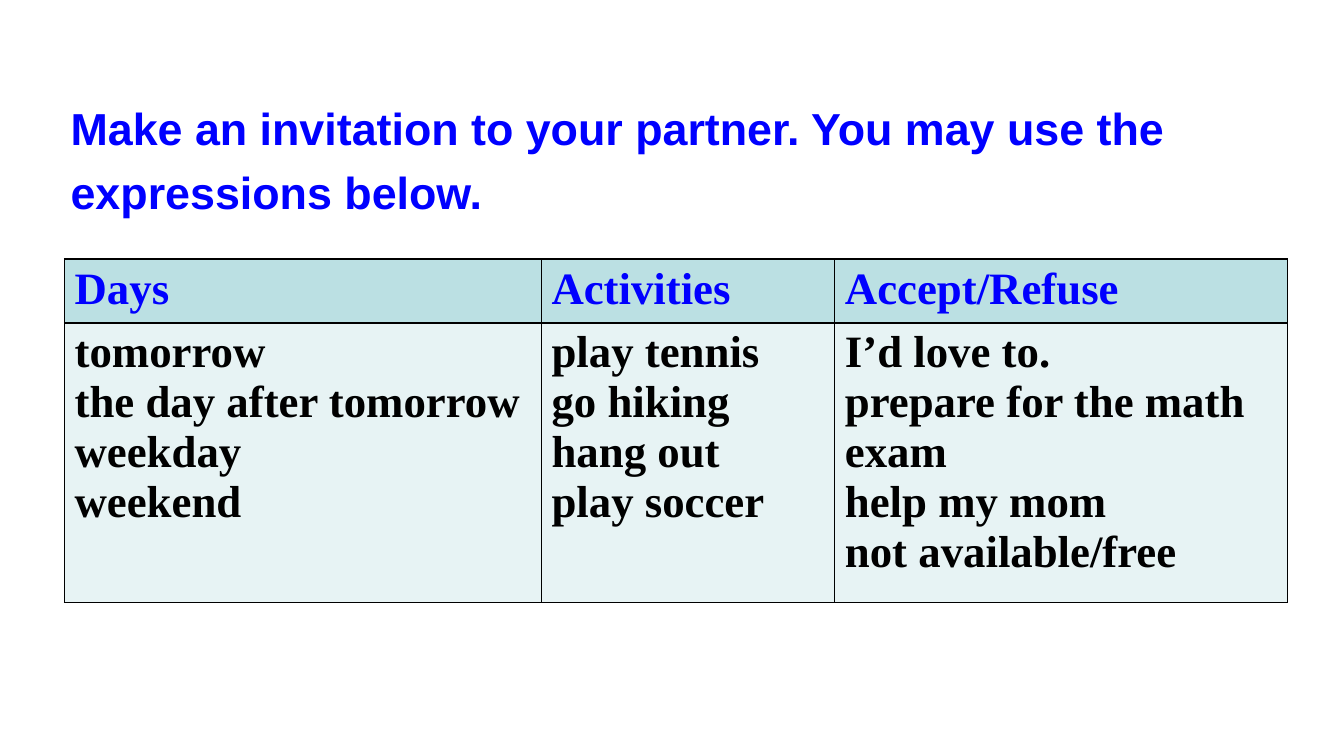
"""Build a slide with invitation prompts and a table of useful expressions."""
from dataclasses import dataclass

from lxml import etree
from pptx import Presentation
from pptx.dml.color import RGBColor
from pptx.enum.text import MSO_ANCHOR, MSO_AUTO_SIZE, PP_ALIGN
from pptx.oxml.ns import qn
from pptx.util import Inches, Pt

LEFT = PP_ALIGN.LEFT
TOP = MSO_ANCHOR.TOP
GROW = MSO_AUTO_SIZE.SHAPE_TO_FIT_TEXT
TITLE_ONLY = 5


@dataclass(frozen=True)
class Theme:
    blue: str = "0000FF"
    black: str = "000000"
    header_fill: str = "BBE0E3"
    body_fill: str = "E7F3F4"
    title_font: str = "Arial"
    table_font: str = "Times New Roman"
    size: int = 32
    border: int = 1


theme = Theme()


def style_text(frame, font_name, color):
    for para in frame.paragraphs:
        para.alignment = LEFT
        for span in para.runs:
            span.font.name = font_name
            span.font.size = Pt(theme.size)
            span.font.bold = True
            span.font.color.rgb = RGBColor.from_string(color)


def add_borders(cell):
    properties = cell._tc.get_or_add_tcPr()
    for position, side in enumerate(("a:lnL", "a:lnR", "a:lnT", "a:lnB")):
        line = etree.Element(qn(side), w=str(Pt(theme.border)))
        fill = etree.SubElement(line, qn("a:solidFill"))
        etree.SubElement(fill, qn("a:srgbClr"), val=theme.black)
        properties.insert(position, line)


deck = Presentation()
deck.slide_width = Inches(13.33)
deck.slide_height = Inches(7.5)
page = deck.slides.add_slide(deck.slide_layouts[TITLE_ONLY])

title = page.shapes.title
title.left, title.top = Inches(0.6), Inches(0.84)
title.width, title.height = Inches(12.36), Inches(1.33)
frame = title.text_frame
frame.text = "Make an invitation to your partner. You may use the expressions below."
frame.word_wrap = True
frame.auto_size = GROW
frame.vertical_anchor = TOP
frame.paragraphs[0].line_spacing = 1.2
style_text(frame, theme.title_font, theme.blue)

columns = [
    ("Days", 4.73, ["tomorrow", "the day after tomorrow", "weekday", "weekend"]),
    ("Activities", 2.91, ["play tennis", "go hiking", "hang out", "play soccer"]),
    ("Accept/Refuse", 4.49, ["I’d love to.", "prepare for the math exam",
                             "help my mom", "not available/free"]),
]
table = page.shapes.add_table(
    2, len(columns), Inches(0.64), Inches(2.57), Inches(12.13), Inches(3.4)
).table
table.rows[0].height = Inches(0.63)
table.rows[1].height = Inches(2.77)

for index, (heading, width, expressions) in enumerate(columns):
    table.columns[index].width = Inches(width)
    contents = [
        (heading, theme.header_fill, theme.blue),
        ("\n".join(expressions), theme.body_fill, theme.black),
    ]
    for row, (text, fill, color) in enumerate(contents):
        cell = table.cell(row, index)
        cell.text_frame.text = text
        cell.fill.solid()
        cell.fill.fore_color.rgb = RGBColor.from_string(fill)
        style_text(cell.text_frame, theme.table_font, color)
        add_borders(cell)

deck.save("out.pptx")
